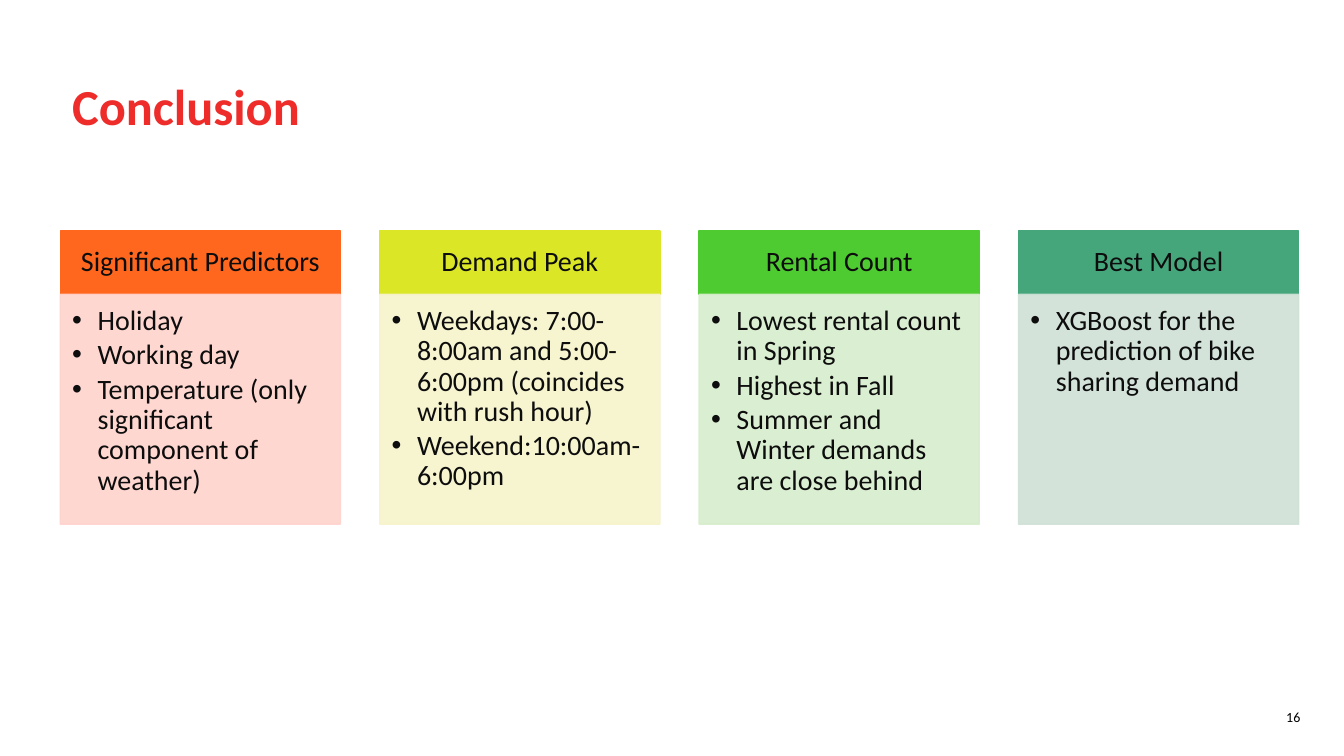
from dataclasses import dataclass

from lxml import etree
from pptx import Presentation
from pptx import util as u
from pptx.dml.color import RGBColor
from pptx.enum import shapes, text
from pptx.oxml import ns

RED = RGBColor(0xEE, 0x2C, 0x2A)
BLACK = RGBColor(0x00, 0x00, 0x00)
INK = RGBColor(0x0D, 0x0D, 0x0D)
ORANGE = RGBColor(0xFF, 0x67, 0x1F)
PINK = RGBColor(0xFF, 0xD3, 0xCD)
YELLOW = RGBColor(0xDB, 0xE7, 0x26)
CREAM = RGBColor(0xF7, 0xF3, 0xCB)
GREEN = RGBColor(0x4F, 0xCB, 0x32)
MINT = RGBColor(0xD7, 0xED, 0xCC)
TEAL = RGBColor(0x46, 0xA6, 0x7B)
SAGE = RGBColor(0xCF, 0xE1, 0xD7)

LEFT, STEP, WIDTH = 1.52, 8.05, 7.06
HEAD_TOP, HEAD_HEIGHT, BODY_HEIGHT = 5.82, 1.6, 5.79
INDENT = u.Cm(0.64)


@dataclass(frozen=True)
class Card:
    heading: str
    points: tuple[str, ...]
    head_color: RGBColor
    body_color: RGBColor


CARDS = (
    Card(
        "Significant Predictors",
        ("Holiday", "Working day", "Temperature (only significant component of weather)"),
        ORANGE,
        PINK,
    ),
    Card(
        "Demand Peak",
        (
            "Weekdays: 7:00-8:00am and 5:00-6:00pm (coincides with rush hour)",
            "Weekend:10:00am-6:00pm",
        ),
        YELLOW,
        CREAM,
    ),
    Card(
        "Rental Count",
        (
            "Lowest rental count in Spring",
            "Highest in Fall",
            "Summer and Winter demands are close behind",
        ),
        GREEN,
        MINT,
    ),
    Card("Best Model", ("XGBoost for the prediction of bike sharing demand",), TEAL, SAGE),
)

TITLE_FONT = {"name": "Calibri", "size": u.Pt(36), "bold": True}
NUMBER_FONT = {"name": "Calibri", "size": u.Pt(10)}
CARD_FONT = {"name": "Calibri", "size": u.Pt(20)}

TITLE_PARAGRAPH = {"line_spacing": u.Pt(38)}
NUMBER_PARAGRAPH = {"alignment": text.PP_ALIGN.RIGHT}
HEAD_PARAGRAPH = {
    "alignment": text.PP_ALIGN.CENTER, "line_spacing": 0.9, "space_after": u.Pt(7),
}
POINT_PARAGRAPH = {
    "alignment": text.PP_ALIGN.LEFT, "line_spacing": 0.9, "space_after": u.Pt(3),
}

TITLE_FRAME = {"word_wrap": True, "vertical_anchor": text.MSO_ANCHOR.MIDDLE}
NUMBER_FRAME = {"word_wrap": True}
HEAD_FRAME = {
    "word_wrap": True,
    "vertical_anchor": text.MSO_ANCHOR.MIDDLE,
    "margin_left": u.Cm(0.4),
    "margin_right": u.Cm(0.4),
    "margin_top": u.Cm(0.23),
    "margin_bottom": u.Cm(0.23),
}
BODY_FRAME = {
    "word_wrap": True,
    "vertical_anchor": text.MSO_ANCHOR.TOP,
    "margin_left": u.Cm(0.3),
    "margin_right": u.Cm(0.4),
    "margin_top": u.Cm(0.3),
    "margin_bottom": u.Cm(0.43),
}


def apply(target: object, values: dict) -> None:
    for name, value in values.items():
        setattr(target, name, value)


def write(tf, lines: tuple[str, ...], frame: dict, paragraph: dict, font: dict,
          color: RGBColor) -> None:
    apply(tf, frame)
    for i, line in enumerate(lines):
        p = tf.add_paragraph() if i else tf.paragraphs[0]
        apply(p, paragraph)
        r = p.add_run()
        r.text = line
        apply(r.font, font)
        r.font.color.rgb = color


def add_label(s, box: tuple[float, ...], line: str, frame: dict, paragraph: dict,
              font: dict, color: RGBColor) -> None:
    sp = s.shapes.add_textbox(*map(u.Cm, box))
    write(sp.text_frame, (line,), frame, paragraph, font, color)


def add_panel(s, box: tuple[float, ...], color: RGBColor):
    sp = s.shapes.add_shape(shapes.MSO_SHAPE.RECTANGLE, *map(u.Cm, box))
    sp.shadow.inherit = False
    sp.fill.solid()
    sp.fill.fore_color.rgb = color
    sp.line.color.rgb = color
    sp.line.width = u.Pt(1)
    return sp


def set_opacity(sp, percent: int) -> None:
    for color in sp.fill._xPr.iter(ns.qn("a:srgbClr")):
        etree.SubElement(color, ns.qn("a:alpha"), val=str(percent * 1000))


def add_bullet(p) -> None:
    pPr = p._p.get_or_add_pPr()
    pPr.set("marL", str(INDENT))
    pPr.set("indent", str(-INDENT))
    etree.SubElement(pPr, ns.qn("a:buFont"), typeface="Arial")
    etree.SubElement(pPr, ns.qn("a:buChar"), char="•")


def add_card(s, card: Card, left: float) -> None:
    head = add_panel(s, (left, HEAD_TOP, WIDTH, HEAD_HEIGHT), card.head_color)
    write(head.text_frame, (card.heading,), HEAD_FRAME, HEAD_PARAGRAPH, CARD_FONT, INK)
    body = add_panel(s, (left, HEAD_TOP + HEAD_HEIGHT, WIDTH, BODY_HEIGHT), card.body_color)
    set_opacity(body, 90)
    write(body.text_frame, card.points, BODY_FRAME, POINT_PARAGRAPH, CARD_FONT, INK)
    for p in body.text_frame.paragraphs:
        add_bullet(p)


def main() -> None:
    prs = Presentation()
    prs.slide_width, prs.slide_height = u.Cm(33.87), u.Cm(19.05)
    s = prs.slides.add_slide(prs.slide_layouts[6])
    add_label(s, (1.57, 1.3, 27, 2.87), "Conclusion", TITLE_FRAME, TITLE_PARAGRAPH,
              TITLE_FONT, RED)
    add_label(s, (25.4, 17.73, 7.62, 1.02), "16", NUMBER_FRAME, NUMBER_PARAGRAPH,
              NUMBER_FONT, BLACK)
    for i, card in enumerate(CARDS):
        add_card(s, card, LEFT + i * STEP)
    prs.save("out.pptx")


if __name__ == "__main__":
    main()
